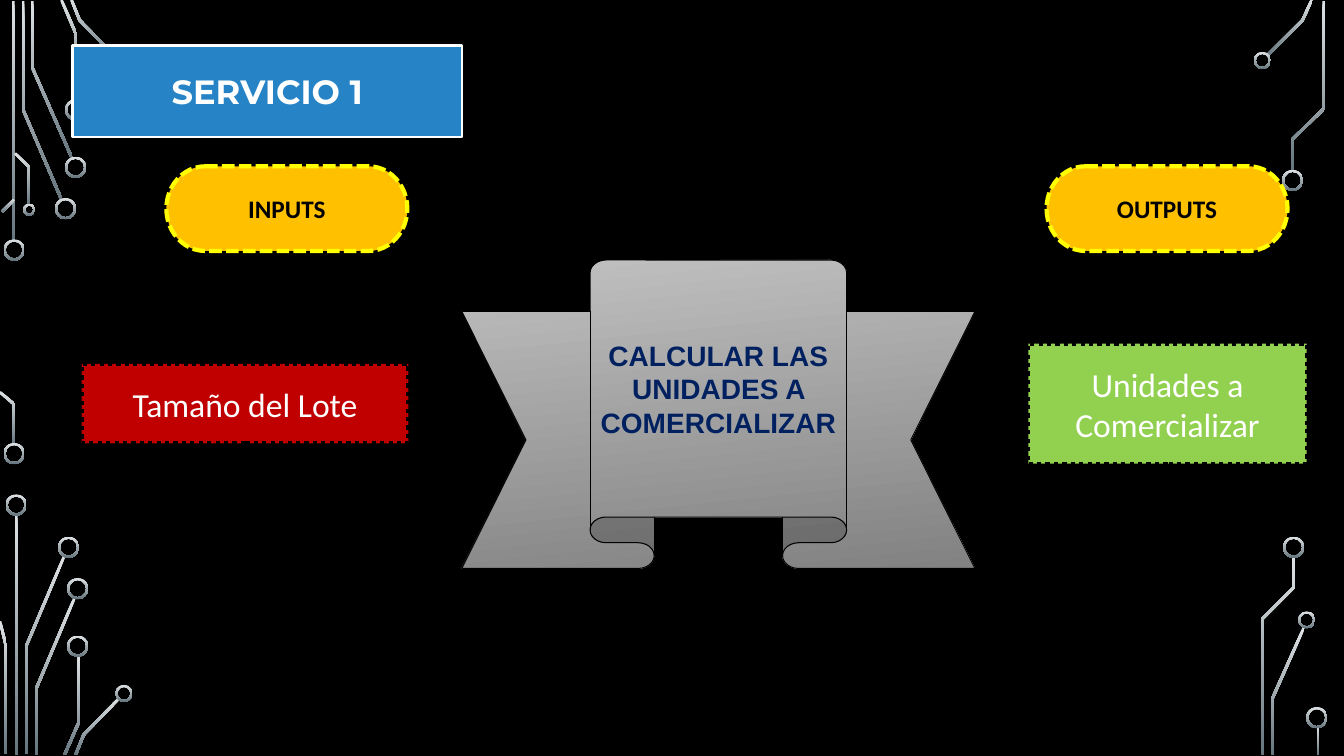
import math

import pptx
import pptx.dml.color
import pptx.enum.dml
import pptx.enum.shapes
import pptx.enum.text
import pptx.oxml
import pptx.oxml.ns
import pptx.util

Inches = pptx.util.Inches
MSO_SHAPE = pptx.enum.shapes.MSO_SHAPE
MSO_LINE = pptx.enum.dml.MSO_LINE

COLORS = {
    "black": "000000", "white": "FFFFFF", "navy": "002060",
    "blue": "2683C6", "amber": "FFC000", "yellow": "FFFF00",
    "red": "C00000", "green": "92D050",
    "trace_top": "DFE3E5", "trace_bottom": "65757D",
    "ribbon_top": "C0C0C0", "ribbon_bottom": "828282",
}
TRACE_WIDTH = 0.026
RING_WIDTH = 0.02

# Straight traces: left, top, height
BARS = [(0.12, 0.01, 2.39), (0.15, 5.1, 2.39), (13.06, 7.21, 0.28)]

# Bent traces: centre line points
TRACES = [
    # top left
    [(0.61, 1.98), (0.23, 1.09), (0.23, 0.01)],
    [(0.71, 1.56), (0.32, 0.67), (0.32, 0.01)],
    [(0.75, 1), (0.75, 0.33), (0.61, 0)],
    [(1.15, 0.57), (0.79, 0.2), (0.71, 0)],
    [(0.02, 2.1), (0.14, 1.98)],
    [(0.29, 2.03), (0.29, 1.66), (0.15, 1.52)],
    # bottom left
    [(0.14, 4.41), (0.14, 4.01), (0, 3.89)],
    [(0.26, 7.48), (0.26, 6.41), (0.64, 5.51)],
    [(0.06, 7.48), (0.06, 6.41), (0, 6.16)],
    [(0.36, 7.49), (0.36, 6.83), (0.74, 5.93)],
    [(0.64, 7.49), (0.78, 7.17), (0.78, 6.5)],
    [(0.75, 7.49), (0.83, 7.29), (1.18, 6.93)],
    # right
    [(12.57, 0.55), (12.92, 0.2), (13.01, 0)],
    [(12.62, 7.49), (12.62, 6.93), (12.93, 6.23)],
    [(12.82, 1.69), (12.82, 1.38), (13.13, 1.08), (13.13, 0.01)],
    [(12.52, 7.49), (12.52, 6.14), (12.83, 5.83), (12.83, 5.52)],
]

# Trace ends: diameter -> centres
RINGS = {
    0.21: [(0.14, 2.48), (0.14, 4.5), (0.65, 2.07), (0.75, 1.66), (0.75, 1.09),
           (0.16, 5.01), (0.68, 5.43), (0.77, 5.84), (0.77, 6.41),
           (12.82, 1.79), (12.83, 5.43), (13.06, 7.12)],
    0.17: [(1.23, 6.88), (12.52, 0.6), (12.96, 6.15)],
    0.12: [(0.29, 2.08)],
}


def rgb(name):
    """Return the named colour as an RGBColor."""
    return pptx.dml.color.RGBColor.from_string(COLORS[name])


def fill_gradient(sp, top, bottom, angle):
    """Fill a shape with a two-colour gradient, angle clockwise in degrees."""
    sp.shadow.inherit = False
    sp.fill.gradient()
    sp.fill.gradient_angle = 360 - angle
    for stop, name, pos in zip(sp.fill.gradient_stops, (top, bottom), (0, 1)):
        stop.color.rgb = rgb(name)
        stop.position = pos


def fill_solid(sp, name):
    """Fill a shape with one colour and no shadow."""
    sp.shadow.inherit = False
    sp.fill.solid()
    sp.fill.fore_color.rgb = rgb(name)


def set_line(sp, name, width, dash=None):
    """Give a shape its outline."""
    sp.line.color.rgb = rgb(name)
    sp.line.width = pptx.util.Pt(width)
    if dash:
        sp.line.dash_style = dash


def set_text(sp, text, size, font, color, bold=False):
    """Write centred text in a shape."""
    tf = sp.text_frame
    tf.text = text
    tf.word_wrap = True
    tf.auto_size = pptx.enum.text.MSO_AUTO_SIZE.NONE
    tf.vertical_anchor = pptx.enum.text.MSO_ANCHOR.MIDDLE
    p = tf.paragraphs[0]
    p.alignment = pptx.enum.text.PP_ALIGN.CENTER
    r = p.runs[0]
    r.font.size = pptx.util.Pt(size)
    r.font.name = font
    r.font.bold = bold
    r.font.color.rgb = rgb(color)


def add_box(s, shape, left, top, width, height):
    """Add a preset shape placed in inches."""
    return s.shapes.add_shape(shape, *map(Inches, (left, top, width, height)))


def finish_trace(sp):
    """Give a circuit part its metallic gradient and no outline."""
    fill_gradient(sp, "trace_top", "trace_bottom", 90)
    sp.line.fill.background()


def trace_side(points, offset):
    """Shift a centre line sideways, with mitred corners."""
    headings = [math.atan2(y2 - y1, x2 - x1)
                for (x1, y1), (x2, y2) in zip(points, points[1:])]
    side = []
    for (x, y), a, b in zip(points, headings[:1] + headings, headings + headings[-1:]):
        turn = math.remainder(b - a, math.tau) / 2
        reach = offset / math.cos(turn)
        side.append((x - reach * math.sin(a + turn), y + reach * math.cos(a + turn)))
    return side


def add_trace(s, points):
    """Add a bent circuit trace of constant width."""
    half = TRACE_WIDTH / 2
    outline = trace_side(points, half) + trace_side(points, -half)[::-1]
    corners = [(Inches(x), Inches(y)) for x, y in outline]
    builder = s.shapes.build_freeform(*corners[0])
    builder.add_line_segments(corners[1:], close=True)
    finish_trace(builder.convert_to_shape())


def add_ring(s, x, y, size):
    """Add the ring that ends a trace."""
    sp = add_box(s, MSO_SHAPE.DONUT, x - size / 2, y - size / 2, size, size)
    sp.adjustments[0] = RING_WIDTH / size
    finish_trace(sp)


def add_circuit(s):
    """Draw the circuit decoration along both edges."""
    for left, top, height in BARS:
        finish_trace(add_box(s, MSO_SHAPE.RECTANGLE, left, top, TRACE_WIDTH, height))
    for points in TRACES:
        add_trace(s, points)
    for size, centres in RINGS.items():
        for x, y in centres:
            add_ring(s, x, y, size)


def format_title(s, text):
    """Turn the title placeholder into a rounded box above the circuit."""
    sp = s.shapes.title
    sp.left, sp.top, sp.width, sp.height = map(Inches, (0.72, 0.45, 3.86, 0.91))
    geom = pptx.oxml.parse_xml(
        '<a:prstGeom %s prst="roundRect"><a:avLst/></a:prstGeom>'
        % pptx.oxml.ns.nsdecls("a"))
    sp.element.spPr.insert(1, geom)
    fill_solid(sp, "blue")
    set_line(sp, "white", 1.75)
    set_text(sp, text, 24, "Montserrat", "white", True)
    s.shapes.element.append(sp.element)


def add_heading(s, text, left):
    """Add a column heading with a dashed outline."""
    sp = add_box(s, MSO_SHAPE.FLOWCHART_TERMINATOR, left, 1.65, 2.39, 0.84)
    fill_solid(sp, "amber")
    set_line(sp, "yellow", 3, MSO_LINE.SQUARE_DOT)
    set_text(sp, text, 18, "Calibri", "black", True)
    tf = sp.text_frame
    tf.margin_left = tf.margin_right = tf.margin_top = tf.margin_bottom = Inches(0.1)


def add_item(s, text, color, *place):
    """Add an input or output box with a dotted outline."""
    sp = add_box(s, MSO_SHAPE.RECTANGLE, *place)
    fill_solid(sp, color)
    set_line(sp, "black", 3, MSO_LINE.ROUND_DOT)
    set_text(sp, text, 24, "Calibri", "white")


def add_process(s, text):
    """Add the central ribbon that names the calculation."""
    sp = add_box(s, MSO_SHAPE.UP_RIBBON, 4.58, 2.58, 5.09, 3.06)
    fill_gradient(sp, "ribbon_top", "ribbon_bottom", 84)
    set_line(sp, "black", 0.75)
    set_text(sp, text, 20, "Arial", "navy", True)


def main():
    """Build the slide and save it."""
    prs = pptx.Presentation()
    prs.slide_width, prs.slide_height = Inches(13.33), Inches(7.5)
    s = prs.slides.add_slide(prs.slide_layouts[5])
    s.background.fill.solid()
    s.background.fill.fore_color.rgb = rgb("black")
    add_circuit(s)
    format_title(s, "SERVICIO 1")
    add_heading(s, "INPUTS", 1.65)
    add_heading(s, "OUTPUTS", 10.38)
    add_process(s, "CALCULAR LAS UNIDADES A COMERCIALIZAR")
    add_item(s, "Tamaño del Lote", "red", 0.81, 3.61, 3.24, 0.79)
    add_item(s, "Unidades a Comercializar", "green", 10.2, 3.41, 2.76, 1.19)
    prs.save("out.pptx")


main()
